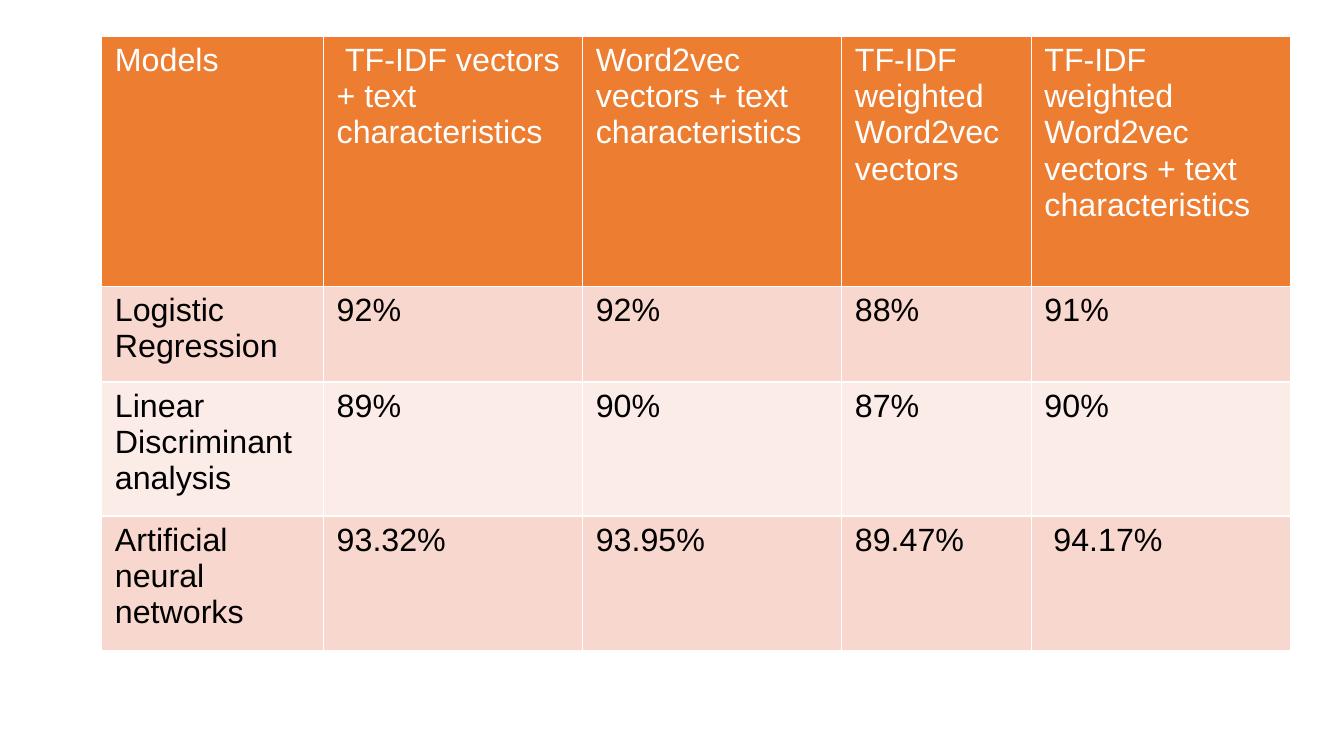
from lxml.etree import SubElement
from pptx import Presentation
from pptx.dml.color import RGBColor
from pptx.oxml.ns import qn
from pptx.util import Inches, Pt

WHITE = RGBColor(0xFF, 0xFF, 0xFF)
BLACK = RGBColor(0x00, 0x00, 0x00)
ORANGE = RGBColor(0xED, 0x7D, 0x31)
PEACH = RGBColor(0xF8, 0xD7, 0xCE)
BLUSH = RGBColor(0xFC, 0xEC, 0xE8)

COLS = [2.2, 2.57, 2.57, 1.88, 2.57]
ROWS = [2.48, 0.95, 1.33, 1.33]
SCORES = [
    ["Models", " TF-IDF vectors + text characteristics",
     "Word2vec vectors + text characteristics",
     "TF-IDF weighted Word2vec vectors",
     "TF-IDF weighted Word2vec vectors + text characteristics"],
    ["Logistic Regression", "92%", "92%", "88%", "91%"],
    ["Linear Discriminant analysis", "89%", "90%", "87%", "90%"],
    ["Artificial neural networks", "93.32%", "93.95%", "89.47%", " 94.17%"],
]


def add_rules(cell, color, width):
    """Draw a line on all four sides; call before the fill is set."""
    props = cell._tc.get_or_add_tcPr()
    for side in ("a:lnL", "a:lnR", "a:lnT", "a:lnB"):
        line = SubElement(props, qn(side), w=str(Pt(width)))
        fill = SubElement(line, qn("a:solidFill"))
        SubElement(fill, qn("a:srgbClr"), val=str(color))


def style_cell(cell, text, fill, ink):
    cell.margin_left = cell.margin_right = Inches(0.13)
    cell.margin_top = cell.margin_bottom = Inches(0.06)
    add_rules(cell, WHITE, 1)
    cell.fill.solid()
    cell.fill.fore_color.rgb = fill
    cell.text_frame.text = text
    font = cell.text_frame.paragraphs[0].runs[0].font
    font.name = "Arial"
    font.size = Pt(23)
    font.bold = False
    font.color.rgb = ink


def add_scores(slide, left, top):
    frame = slide.shapes.add_table(
        len(ROWS), len(COLS), Inches(left), Inches(top),
        Inches(sum(COLS)), Inches(sum(ROWS)))
    table = frame.table
    for col, width in zip(table.columns, COLS):
        col.width = Inches(width)
    for row, height in zip(table.rows, ROWS):
        row.height = Inches(height)
    for r, texts in enumerate(SCORES):
        if r == 0:
            fill, ink = ORANGE, WHITE
        else:
            fill, ink = (PEACH if r % 2 else BLUSH), BLACK
        for c, text in enumerate(texts):
            style_cell(table.cell(r, c), text, fill, ink)


def main():
    deck = Presentation()
    deck.slide_width = Inches(13.33)
    deck.slide_height = Inches(7.5)
    slide = deck.slides.add_slide(deck.slide_layouts[6])
    add_scores(slide, 1.01, 0.36)
    deck.save("out.pptx")


if __name__ == "__main__":
    main()
